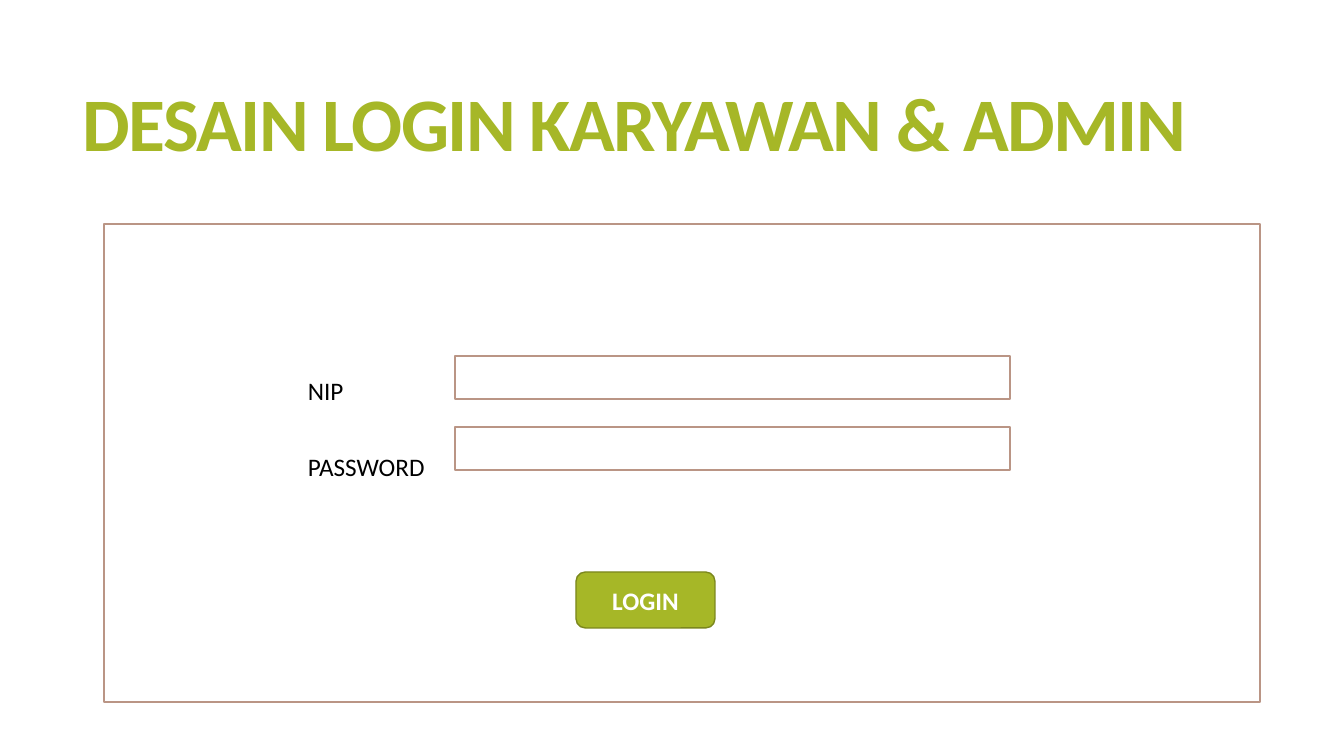
from pptx import Presentation
from pptx.dml.color import RGBColor
from pptx.enum.shapes import MSO_SHAPE as Preset
from pptx.enum.text import MSO_ANCHOR as Anchor, PP_ALIGN as Align
from pptx.util import Emu, Pt

TITLE = "DESAIN LOGIN KARYAWAN & ADMIN"
FIELD_LABELS = ["NIP", "PASSWORD"]
BUTTON_LABEL = "LOGIN"

COLORS = {
    "white": "FFFFFF",
    "black": "000000",
    "green": "A6B727",
    "dark_green": "7B871D",
    "brown": "BA9585",
}
FONT = "Calibri"
EMU_PER_INCH = 914400
PX_PER_INCH = 100.8
SLIDE_SIZE = (1344, 756)
TITLE_BOX = (73, 55, 1187, 146)
FRAME_BOX = (104, 224, 1156, 478)
LABELS_BOX = (298, 325, 277, 150)
BUTTON_BOX = (576, 572, 139, 56)
FIELD_LEFT, FIELD_TOP, FIELD_WIDTH, FIELD_HEIGHT = 455, 356, 555, 43
FIELD_STEP = 71


def px(value):
    return Emu(round(value * EMU_PER_INCH / PX_PER_INCH))


def color(name):
    return RGBColor.from_string(COLORS[name])


def add_panel(slide, box, fill="white", line="brown", preset=Preset.RECTANGLE):
    shape = slide.shapes.add_shape(preset, *map(px, box))
    shape.shadow.inherit = False
    shape.fill.solid()
    shape.fill.fore_color.rgb = color(fill)
    shape.line.color.rgb = color(line)
    shape.line.width = Pt(1)
    return shape


def write_text(shape, lines, size=18, ink="black", bold=False, align=Align.LEFT,
               anchor=Anchor.TOP, line_spacing=1.0, tracking=0):
    frame = shape.text_frame
    frame.word_wrap = True
    frame.vertical_anchor = anchor
    frame.text = "\n".join(lines)
    for paragraph in frame.paragraphs:
        paragraph.alignment = align
        paragraph.line_spacing = line_spacing
        for run in paragraph.runs:
            run.font.name = FONT
            run.font.size = Pt(size)
            run.font.bold = bold
            run.font.color.rgb = color(ink)
            if tracking:
                run.font._element.set("spc", str(round(tracking * 100)))


def main():
    presentation = Presentation()
    presentation.slide_width, presentation.slide_height = map(px, SLIDE_SIZE)
    slide = presentation.slides.add_slide(presentation.slide_layouts[6])

    title = slide.shapes.add_textbox(*map(px, TITLE_BOX))
    write_text(title, [TITLE], size=54, ink="green", bold=True,
               anchor=Anchor.MIDDLE, line_spacing=0.85, tracking=-1.2)

    add_panel(slide, FRAME_BOX)
    for index in range(len(FIELD_LABELS)):
        top = FIELD_TOP + index * FIELD_STEP
        add_panel(slide, (FIELD_LEFT, top, FIELD_WIDTH, FIELD_HEIGHT))

    labels = slide.shapes.add_textbox(*map(px, LABELS_BOX))
    write_text(labels, FIELD_LABELS, line_spacing=2.5)

    button = add_panel(slide, BUTTON_BOX, fill="green", line="dark_green",
                       preset=Preset.ROUNDED_RECTANGLE)
    write_text(button, [BUTTON_LABEL], ink="white", bold=True,
               align=Align.CENTER, anchor=Anchor.MIDDLE)

    presentation.save("out.pptx")


if __name__ == "__main__":
    main()
